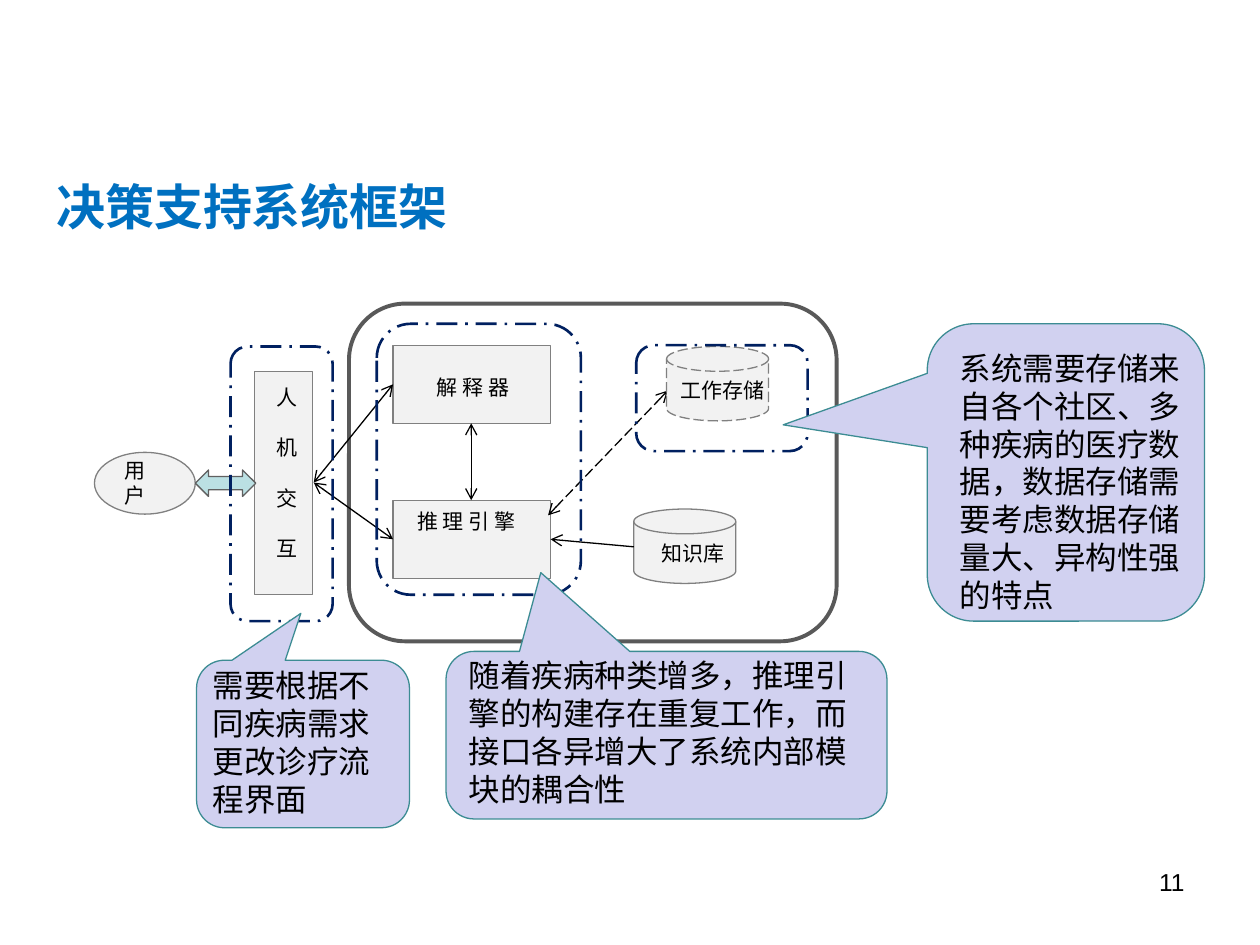
"""Builds the decision support system framework slide."""
from dataclasses import dataclass

from lxml import etree
from pptx import Presentation
from pptx.dml.color import RGBColor
from pptx.enum.dml import MSO_LINE
from pptx.enum.shapes import MSO_CONNECTOR, MSO_SHAPE
from pptx.enum.text import MSO_ANCHOR, MSO_AUTO_SIZE, PP_ALIGN
from pptx.oxml.ns import qn
from pptx.util import Inches, Pt

LEFT, CENTER, RIGHT = PP_ALIGN.LEFT, PP_ALIGN.CENTER, PP_ALIGN.RIGHT
TOP, NO_FIT = MSO_ANCHOR.TOP, MSO_AUTO_SIZE.NONE
DASH, DASH_DOT = MSO_LINE.LONG_DASH, MSO_LINE.LONG_DASH_DOT
STRAIGHT = MSO_CONNECTOR.STRAIGHT
RECT, ROUND, ELLIPSE = MSO_SHAPE.RECTANGLE, MSO_SHAPE.ROUNDED_RECTANGLE, MSO_SHAPE.OVAL
DISK, SWAP = MSO_SHAPE.FLOWCHART_MAGNETIC_DISK, MSO_SHAPE.LEFT_RIGHT_ARROW
CALLOUT = MSO_SHAPE.ROUNDED_RECTANGULAR_CALLOUT


@dataclass(frozen=True)
class Theme:
    """Colours, font and type sizes of the slide."""
    font: str = "Arial"
    text: str = "000000"
    title: str = "0070C0"
    node: str = "F2F2F2"
    node_line: str = "808080"
    frame: str = "595959"
    group: str = "002060"
    swap: str = "BBE0E3"
    swap_line: str = "606060"
    note: str = "D1D1F0"
    note_line: str = "3C8C93"
    title_size: int = 28
    note_size: int = 18
    number_size: int = 14
    label_size: int = 12


THEME = Theme()


def inches(values):
    """Convert numbers to lengths."""
    return [Inches(v) for v in values]


def set_line(line, color, width, dash=None):
    """Format an outline or connector line."""
    line.color.rgb = RGBColor.from_string(color)
    line.width = Pt(width)
    if dash is not None:
        line.dash_style = dash


def write(tf, text, size=THEME.label_size, color=THEME.text, bold=False,
          align=LEFT, wrap=True, gap=0):
    """Fill a text frame, one paragraph for each line of text."""
    tf.auto_size = NO_FIT
    tf.word_wrap = wrap
    tf.vertical_anchor = TOP
    for i, line in enumerate(text.split("\n")):
        p = tf.paragraphs[0] if i == 0 else tf.add_paragraph()
        p.alignment = align
        p.space_before = Pt(gap if i else 0)
        r = p.add_run()
        r.text = line
        r.font.name = THEME.font
        r.font.size = Pt(size)
        r.font.bold = bold
        r.font.color.rgb = RGBColor.from_string(color)


def add_title(s, text, box):
    """Move and format the title placeholder."""
    sp = s.shapes.title
    sp.left, sp.top, sp.width, sp.height = inches(box)
    write(sp.text_frame, text, size=THEME.title_size, color=THEME.title,
          bold=True, align=CENTER, wrap=False)


def add_text(s, text, box, **fmt):
    """Add a text box."""
    write(s.shapes.add_textbox(*inches(box)).text_frame, text, **fmt)


def add_shape(s, kind, box, fill=THEME.node, line=THEME.node_line, width=0.75,
              dash=None, adjust=()):
    """Add a preset shape; no fill leaves it see-through."""
    sp = s.shapes.add_shape(kind, *inches(box))
    sp.shadow.inherit = False
    if fill:
        sp.fill.solid()
        sp.fill.fore_color.rgb = RGBColor.from_string(fill)
    else:
        sp.fill.background()
    set_line(sp.line, line, width, dash)
    for i, value in enumerate(adjust):
        sp.adjustments[i] = value


def add_arrow(s, start, end, dash=None, both=True):
    """Add a connector with open arrowheads."""
    c = s.shapes.add_connector(STRAIGHT, *inches(start + end))
    set_line(c.line, THEME.text, 0.75, dash)
    ln = c.line._get_or_add_ln()
    for tag in ("a:headEnd", "a:tailEnd") if both else ("a:tailEnd",):
        etree.SubElement(ln, qn(tag), type="arrow")
    etree.SubElement(c._element.spPr, qn("a:effectLst"))


def add_note(s, text, box, text_box, pointer):
    """Add a callout and the remark on top of it."""
    add_shape(s, CALLOUT, box, fill=THEME.note, line=THEME.note_line,
              adjust=(*pointer, 0.167))
    add_text(s, text, text_box, size=THEME.note_size)


def add_nodes(s):
    """Draw the system frame and its components."""
    add_shape(s, ROUND, (2.77, 2.41, 3.87, 2.68), fill=None, line=THEME.frame, width=2.25)
    for kind, box in (
        (ELLIPSE, (0.75, 3.59, 0.8, 0.49)),
        (RECT, (2.02, 2.95, 0.46, 1.77)),
        (RECT, (3.12, 2.74, 1.25, 0.62)),
        (RECT, (3.12, 3.97, 1.25, 0.62)),
        (DISK, (5.03, 4.04, 0.81, 0.59)),
    ):
        add_shape(s, kind, box)
    add_shape(s, SWAP, (1.55, 3.73, 0.48, 0.21), fill=THEME.swap, line=THEME.swap_line)


def add_arrows(s):
    """Link the components."""
    hub = (2.49, 3.83)
    add_arrow(s, (3.12, 3.05), hub)
    add_arrow(s, hub, (3.12, 4.28))
    add_arrow(s, (4.35, 4.09), (5.3, 3.1), dash=DASH)
    add_arrow(s, (3.74, 3.36), (3.74, 3.97))
    add_arrow(s, (5.03, 4.34), (4.37, 4.28), both=False)


def add_labels(s):
    """Name the components and draw the working store."""
    add_text(s, "用户", (0.89, 3.58, 0.52, 0.5))
    add_text(s, "人\n机\n交\n互", (2.1, 3, 0.36, 1.51), gap=14.5)
    add_text(s, "解 释 器", (3.29, 2.92, 0.93, 0.3), align=CENTER)
    add_text(s, "推 理 引 擎", (3.18, 3.99, 1.04, 0.3), align=CENTER)
    add_text(s, "知识库", (5.15, 4.24, 0.73, 0.3))
    add_shape(s, DISK, (5.29, 2.75, 0.81, 0.59), dash=DASH)
    add_text(s, "工作存储", (5.3, 2.95, 0.88, 0.3))


def add_groups(s):
    """Outline the parts that the remarks point at."""
    for box in ((2.99, 2.57, 1.62, 2.15), (5.05, 2.74, 1.36, 0.84), (1.83, 2.75, 0.81, 2.18)):
        add_shape(s, ROUND, box, fill=None, line=THEME.group, width=1.5, dash=DASH_DOT)


def add_notes(s):
    """Add the three remarks."""
    add_note(s, "需要根据不同疾病需求更改诊疗流程界面",
             (1.56, 5.24, 1.69, 1.33), (1.59, 5.24, 1.53, 1.31), (-0.01, -0.78))
    add_note(s, "随着疾病种类增多，推理引擎的构建存在重复工作，而接口各异增大了系统内部模块的耦合性",
             (3.54, 5.17, 3.5, 1.33), (3.62, 5.16, 3.42, 1.31), (-0.285, -0.97))
    add_note(s, "系统需要存储来自各个社区、多种疾病的医疗数据，数据存储需要考虑数据存储量大、异构性强的特点",
             (7.36, 2.57, 2.2, 2.36), (7.52, 2.72, 2.04, 2.22), (-1.02, -0.16))


def main():
    """Build and save the slide."""
    prs = Presentation()
    prs.slide_width, prs.slide_height = Inches(10), Inches(7.5)
    s = prs.slides.add_slide(prs.slide_layouts[5])
    add_title(s, "决策支持系统框架", (0.32, 1.35, 3.36, 0.57))
    add_text(s, "11", (7.17, 6.83, 2.33, 0.52), size=THEME.number_size, align=RIGHT)
    add_nodes(s)
    add_arrows(s)
    add_labels(s)
    add_groups(s)
    add_notes(s)
    prs.save("out.pptx")


if __name__ == "__main__":
    main()
